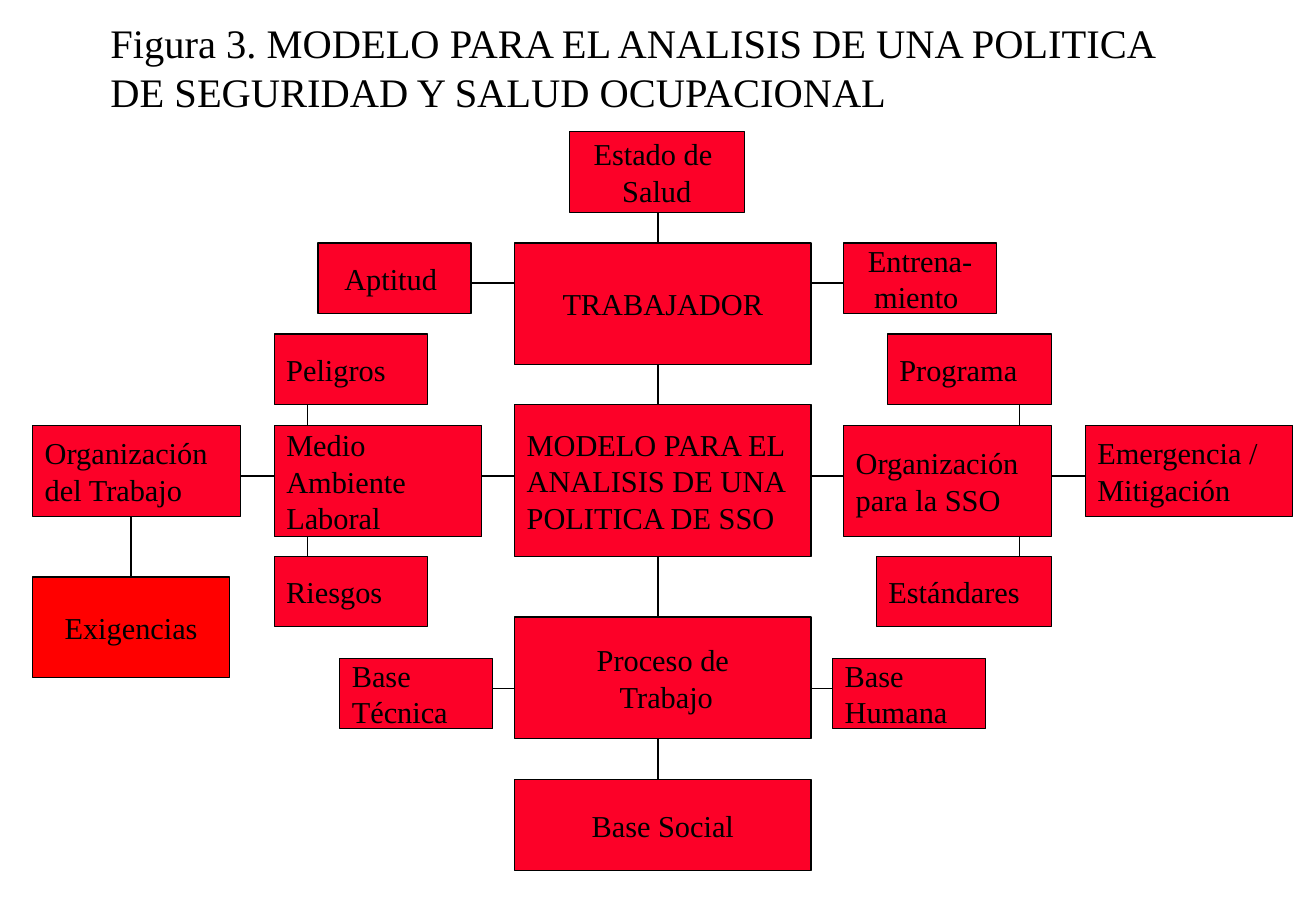
from dataclasses import dataclass

from lxml import etree
from pptx import Presentation
from pptx import util as u
from pptx.dml.color import RGBColor
from pptx.enum import shapes, text
from pptx.oxml.ns import qn

HUES = {"ink": "000000", "rose": "FC0128", "red": "FF0000"}
FONT = "Times New Roman"
LEFT, MID = text.PP_ALIGN.LEFT, text.PP_ALIGN.CENTER
CORE_X, CORE_W = 4.24, 2.44
SIDE_W, SIDE_H = 1.26, 0.58
ARM_W, ARM_Y = 1.71, 3.5


@dataclass(frozen=True)
class Link:
    x1: float
    y1: float
    x2: float
    y2: float


@dataclass(frozen=True)
class Box:
    words: tuple[str, ...]
    x: float
    y: float
    w: float = SIDE_W
    h: float = SIDE_H
    align: text.PP_ALIGN = LEFT
    hue: str = "rose"
    wrap: bool = True


TITLE = (
    "Figura 3. MODELO PARA EL ANALISIS DE UNA POLITICA",
    "DE SEGURIDAD Y SALUD OCUPACIONAL",
)

LINKS = [
    Link(3.7, 5.67, 7.31, 5.67),
    Link(8.4, 3.08, 8.4, 5),
    Link(1.63, 3.92, 9.39, 3.92),
    Link(2.53, 3.08, 2.53, 4.92),
    Link(3.7, 2.33, 7.22, 2.33),
    Link(5.42, 1.58, 5.42, 6.5),
    Link(1.08, 4.25, 1.08, 4.75),
]

BOXES = [
    Box(("Estado de ", "Salud"), 4.69, 1.08, 1.44, 0.67, MID),
    Box(("TRABAJADOR",), CORE_X, 2, CORE_W, 1, MID),
    Box(("MODELO PARA EL ANALISIS DE UNA POLITICA DE SSO",), CORE_X, 3.33, CORE_W, 1.25),
    Box(("Proceso de", " Trabajo"), CORE_X, 5.08, CORE_W, 1, MID),
    Box(("Base Social",), CORE_X, 6.42, CORE_W, 0.75, MID),
    Box(("Medio Ambiente Laboral",), 2.26, ARM_Y, ARM_W, 0.92),
    Box(("Organización del Trabajo",), 0.27, ARM_Y, ARM_W, 0.75),
    Box(("Organización para la SSO",), 6.95, ARM_Y, ARM_W, 0.92),
    Box(("Emergencia /Mitigación",), 8.94, ARM_Y, ARM_W, 0.75),
    Box(("Peligros",), 2.26, 2.75),
    Box(("Aptitud ",), 2.62, 2, align=MID),
    Box(("Entrena-miento ",), 6.95, 2, align=MID),
    Box(("Programa",), 7.31, 2.75, 1.35),
    Box(("Riesgos",), 2.26, 4.58),
    Box(("Base Técnica",), 2.8, 5.42),
    Box(("Base Humana",), 6.86, 5.42),
    Box(("Estándares",), 7.22, 4.58, 1.44),
    Box(("Exigencias",), 0.27, 4.75, 1.62, 0.83, MID, "red", False),
]


def tint(name: str) -> RGBColor:
    return RGBColor.from_string(HUES[name])


def write(frame, words: tuple[str, ...], size: float, align: text.PP_ALIGN) -> None:
    frame.margin_left = frame.margin_right = u.Inches(0.1)
    frame.margin_top = frame.margin_bottom = u.Inches(0.05)
    for i, line in enumerate(words):
        para = frame.paragraphs[0] if i == 0 else frame.add_paragraph()
        para.alignment = align
        para.space_before = u.Pt(0)
        run = para.add_run()
        run.text = line
        run.font.name = FONT
        run.font.size = u.Pt(size)
        run.font.color.rgb = tint("ink")


def head(slide) -> None:
    title = slide.shapes.title
    title.left, title.top = u.Inches(0.81), u.Inches(0.1)
    title.width, title.height = u.Inches(9.75), u.Inches(0.9)
    frame = title.text_frame
    frame.word_wrap = True
    frame.auto_size = text.MSO_AUTO_SIZE.NONE
    frame.vertical_anchor = text.MSO_ANCHOR.TOP
    write(frame, TITLE, 24, LEFT)


def join(slide, link: Link) -> None:
    ends = [u.Inches(v) for v in (link.x1, link.y1, link.x2, link.y2)]
    line = slide.shapes.add_connector(shapes.MSO_CONNECTOR.STRAIGHT, *ends)
    line.line.color.rgb = tint("ink")
    line.line.width = u.Pt(0.75)
    etree.SubElement(line._element.spPr, qn("a:effectLst"))


def draw(slide, box: Box) -> None:
    area = [u.Inches(v) for v in (box.x, box.y, box.w, box.h)]
    shape = slide.shapes.add_shape(shapes.MSO_SHAPE.RECTANGLE, *area)
    shape.shadow.inherit = False
    shape.fill.solid()
    shape.fill.fore_color.rgb = tint(box.hue)
    shape.line.color.rgb = tint("ink")
    shape.line.width = u.Pt(0.75)
    frame = shape.text_frame
    frame.word_wrap = box.wrap
    frame.vertical_anchor = text.MSO_ANCHOR.MIDDLE
    write(frame, box.words, 18, box.align)


def main() -> None:
    deck = Presentation()
    deck.slide_width, deck.slide_height = u.Inches(10.84), u.Inches(7.5)
    slide = deck.slides.add_slide(deck.slide_layouts[5])
    head(slide)
    for link in LINKS:
        join(slide, link)
    for box in BOXES:
        draw(slide, box)
    deck.save("out.pptx")


if __name__ == "__main__":
    main()
